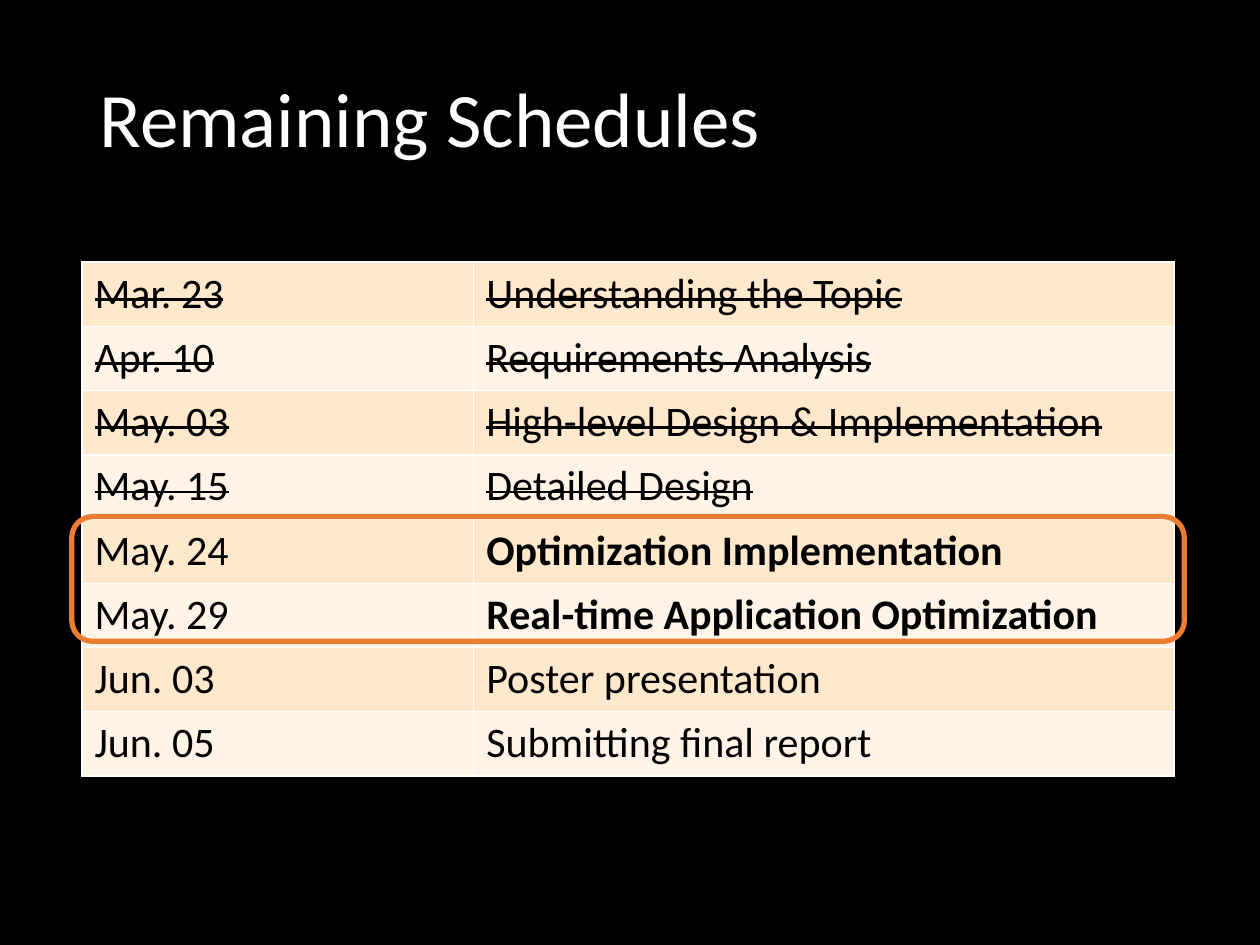
from lxml.etree import SubElement
from pptx import Presentation
from pptx.dml.color import RGBColor
from pptx.enum.shapes import MSO_SHAPE as Shape
from pptx.enum.text import MSO_ANCHOR as Anchor, PP_ALIGN as Align
from pptx.oxml.ns import qn
from pptx.util import Inches, Pt

TITLE = "Remaining Schedules"
SCHEDULE = [
    ("Mar. 23", "Understanding the Topic", "done"),
    ("Apr. 10", "Requirements Analysis", "done"),
    ("May. 03", "High-level Design & Implementation", "done"),
    ("May. 15", "Detailed Design", "done"),
    ("May. 24", "Optimization Implementation", "current"),
    ("May. 29", "Real-time Application Optimization", "current"),
    ("Jun. 03", "Poster presentation", "next"),
    ("Jun. 05", "Submitting final report", "next"),
]
BANDS = ("FFE8CC", "FFF4E7")
WIDTH, HEIGHT = 10, 7.5
LEFT, TOP, ROW = 0.65, 2.08, 0.51
COLS = (3.11, 5.56)
OVERHANG = 0.08


def color(value):
    return RGBColor.from_string(value)


def write(tf, text, size=24, fill="000000", bold=False, strike=False, spacing=None):
    p = tf.paragraphs[0]
    p.alignment = Align.LEFT
    p.line_spacing = spacing
    r = p.add_run()
    r.text = text
    r.font.name = "Calibri"
    r.font.size = Pt(size)
    r.font.bold = bold
    r.font.color.rgb = color(fill)
    if strike:
        r.font._element.set("strike", "sngStrike")


def add_borders(cell, value="FFFFFF", width=1):
    props = cell._tc.get_or_add_tcPr()
    for side in ("lnL", "lnR", "lnT", "lnB"):
        line = SubElement(props, qn(f"a:{side}"), w=str(Pt(width)))
        SubElement(SubElement(line, qn("a:solidFill")), qn("a:srgbClr"), val=value)


def add_title(s):
    sp = s.shapes.title
    sp.left, sp.top, sp.width, sp.height = map(Inches, (0.69, 0.25, 8.62, 1.45))
    sp.text_frame.vertical_anchor = Anchor.MIDDLE
    write(sp.text_frame, TITLE, size=44, fill="FFFFFF", spacing=0.9)


def add_schedule(s):
    box = map(Inches, (LEFT, TOP, sum(COLS), ROW * len(SCHEDULE)))
    table = s.shapes.add_table(len(SCHEDULE), len(COLS), *box).table
    table.first_row = False
    for column, width in zip(table.columns, COLS):
        column.width = Inches(width)
    for i, (date, task, status) in enumerate(SCHEDULE):
        for j, text in enumerate((date, task)):
            cell = table.cell(i, j)
            add_borders(cell)
            cell.fill.solid()
            cell.fill.fore_color.rgb = color(BANDS[i % 2])
            write(cell.text_frame, text, strike=status == "done",
                  bold=status == "current" and j == 1)


def add_highlight(s):
    rows = [i for i, item in enumerate(SCHEDULE) if item[2] == "current"]
    top = TOP + ROW * rows[0] - 0.02
    box = (LEFT - OVERHANG, top, sum(COLS) + 2 * OVERHANG, ROW * len(rows) - 0.03)
    sp = s.shapes.add_shape(Shape.ROUNDED_RECTANGLE, *map(Inches, box))
    sp.shadow.inherit = False
    sp.fill.background()
    sp.line.color.rgb = color("ED7D31")
    sp.line.width = Pt(3)


def main():
    prs = Presentation()
    prs.slide_width, prs.slide_height = Inches(WIDTH), Inches(HEIGHT)
    s = prs.slides.add_slide(prs.slide_layouts[5])
    s.background.fill.solid()
    s.background.fill.fore_color.rgb = color("000000")
    add_title(s)
    add_schedule(s)
    add_highlight(s)
    prs.save("out.pptx")


if __name__ == "__main__":
    main()
